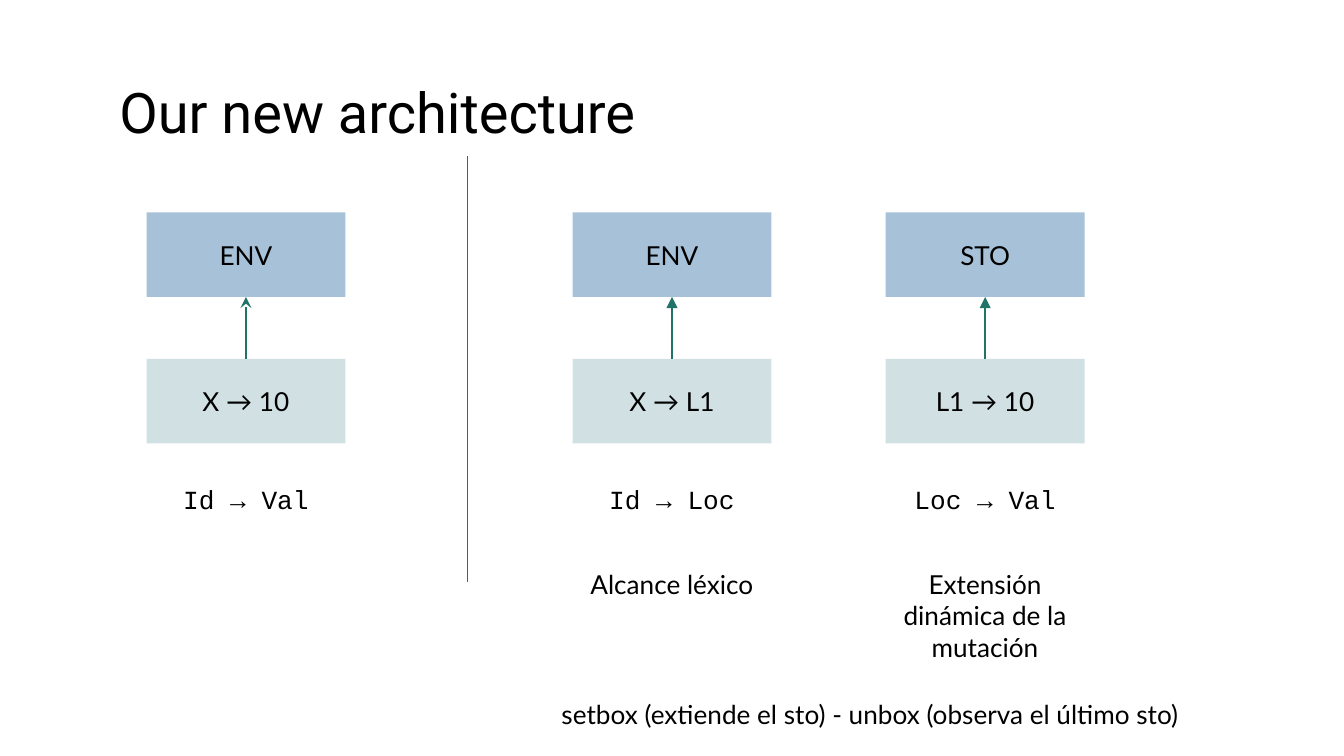
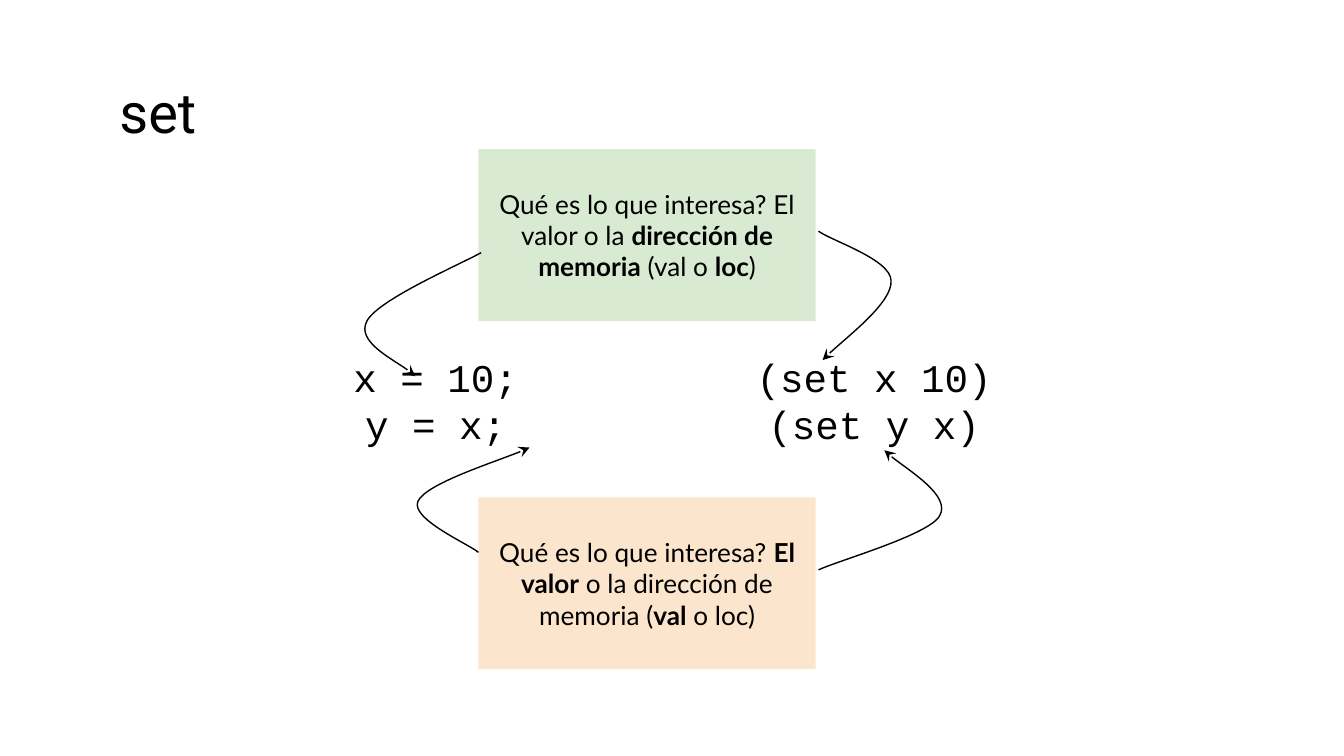
from lxml.etree import SubElement
from pptx import Presentation
from pptx.dml.color import RGBColor
from pptx.enum.shapes import MSO_CONNECTOR, MSO_SHAPE
from pptx.enum.text import MSO_ANCHOR, PP_ALIGN
from pptx.oxml.ns import qn
from pptx.util import Inches, Pt

BLACK = "000000"
TEAL = "207368"
BLUE = "A6C1D8"
PALE_TEAL = "D0E0E3"
GREEN = "D9EAD3"
ORANGE = "FCE5CD"
BODY_FONT = "Lato"
CODE_FONT = "Courier New"
TITLE_FONT = "Roboto"


def write(page, text, left, top, width, height, font=BODY_FONT, size=14,
          align=PP_ALIGN.CENTER, anchor=MSO_ANCHOR.TOP, fill=None):
    place = [Inches(length) for length in (left, top, width, height)]
    if fill:
        box = page.shapes.add_shape(MSO_SHAPE.RECTANGLE, *place)
        box.shadow.inherit = False
        box.fill.solid()
        box.fill.fore_color.rgb = RGBColor.from_string(fill)
        box.line.fill.background()
        anchor = MSO_ANCHOR.MIDDLE
    else:
        box = page.shapes.add_textbox(*place)
    frame = box.text_frame
    frame.word_wrap = True
    frame.vertical_anchor = anchor
    frame.margin_left = frame.margin_right = Inches(0.1)
    frame.margin_top = frame.margin_bottom = Inches(0.1)
    for index, line in enumerate(text.split("\n")):
        para = frame.add_paragraph() if index else frame.paragraphs[0]
        para.alignment = align
        for position, piece in enumerate(line.split("**")):
            span = para.add_run()
            span.text = piece
            span.font.name = font
            span.font.size = Pt(size)
            span.font.bold = position % 2 == 1
            span.font.color.rgb = RGBColor.from_string(BLACK)
    return box


def draw_line(shape, color, head=None):
    shape.line.color.rgb = RGBColor.from_string(color)
    shape.line.width = Pt(0.75)
    properties = shape._element.spPr
    if head:
        SubElement(properties.find(qn("a:ln")), qn("a:tailEnd"), type=head)
    SubElement(properties, qn("a:effectLst"))


deck = Presentation()
deck.slide_width = Inches(10)
deck.slide_height = deck.slide_width * 9 // 16

pages = []
for title in ("Our new architecture", "set"):
    page = deck.slides.add_slide(deck.slide_layouts[6])
    write(page, title, 0.79, 0.48, 8.43, 0.63, font=TITLE_FONT, size=30,
          align=PP_ALIGN.LEFT)
    pages.append(page)
architecture, assignment = pages

divider = architecture.shapes.add_connector(
    MSO_CONNECTOR.STRAIGHT, Inches(3.48), Inches(1.16), Inches(3.48), Inches(4.33))
draw_line(divider, TEAL)

columns = [
    (1.09, "ENV", "X → 10", "Id → Val", None, "stealth"),
    (4.26, "ENV", "X → L1", "Id → Loc", "Alcance léxico", "triangle"),
    (6.59, "STO", "L1 → 10", "Loc → Val", "Extensión dinámica de la mutación", "triangle"),
]
for left, table, binding, signature, remark, head in columns:
    table_box = write(architecture, table, left, 1.58, 1.48, 0.63, fill=BLUE)
    binding_box = write(architecture, binding, left, 2.67, 1.48, 0.63, fill=PALE_TEAL)
    arrow = architecture.shapes.add_connector(MSO_CONNECTOR.STRAIGHT, 0, 0, 0, 0)
    arrow.begin_connect(binding_box, 0)
    arrow.end_connect(table_box, 2)
    draw_line(arrow, TEAL, head)
    write(architecture, signature, left, 3.5, 1.48, 0.46, font=CODE_FONT)
    if remark:
        write(architecture, remark, left - 0.13, 4.13, 1.74, 0.55)

write(architecture, "setbox (extiende el sto) - unbox (observa el último sto)",
      2.75, 5.1, 7.45, 0.44)

code = write(assignment, "x = 10;\t\t(set x 10)\ny = x;\t\t(set y x)",
             0.77, 2.15, 8.47, 1.28, font=CODE_FONT, size=21, anchor=MSO_ANCHOR.BOTTOM)
for para in code.text_frame.paragraphs:
    stops = SubElement(para._p.get_or_add_pPr(), qn("a:tabLst"))
    for stop in (2, 3):
        SubElement(stops, qn("a:tab"), pos=str(Inches(stop)), algn="l")

questions = [
    ("Qué es lo que interesa? El valor o la **dirección de memoria** (val o **loc**)",
     1.11, GREEN),
    ("Qué es lo que interesa? **El valor** o la dirección de memoria (**val** o loc)",
     3.7, ORANGE),
]
for question, top, fill in questions:
    write(assignment, question, 3.56, top, 2.51, 1.28, fill=fill)

curves = [
    [(3.58, 1.88), (3.44, 1.96), (2.81, 2.23), (2.73, 2.39),
     (2.65, 2.54), (3.03, 2.73), (3.09, 2.8)],
    [(6.09, 1.72), (6.18, 1.79), (6.63, 1.93), (6.63, 2.09),
     (6.64, 2.25), (6.21, 2.58), (6.12, 2.68)],
    [(3.56, 4.11), (3.49, 4.05), (3.05, 3.86), (3.11, 3.73),
     (3.17, 3.6), (3.8, 3.4), (3.94, 3.33)],
    [(6.09, 4.24), (6.24, 4.17), (6.91, 3.98), (6.99, 3.84),
     (7.08, 3.69), (6.65, 3.43), (6.58, 3.35)],
]
for curve in curves:
    start, *controls = [(Inches(x), Inches(y)) for x, y in curve]
    builder = assignment.shapes.build_freeform(*start)
    builder.add_line_segments(controls, close=False)
    arrow = builder.convert_to_shape()
    arrow.fill.background()
    outline = next(arrow._element.iter(qn("a:path")))
    segments = outline.findall(qn("a:lnTo"))
    for first in range(0, len(segments), 3):
        bezier = SubElement(outline, qn("a:cubicBezTo"))
        for segment in segments[first:first + 3]:
            bezier.append(segment[0])
            outline.remove(segment)
    draw_line(arrow, BLACK, "stealth")

deck.save("out.pptx")
